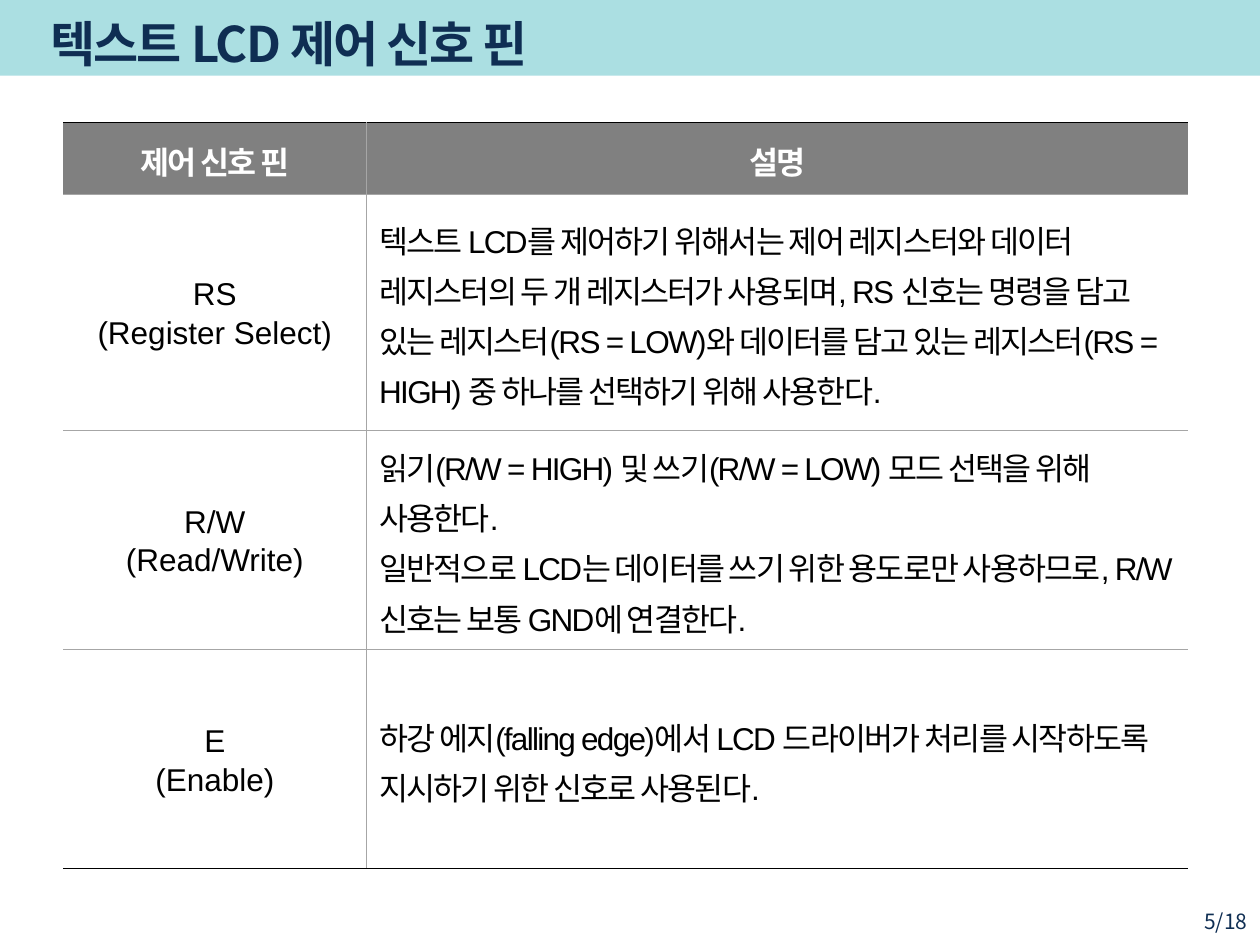
from dataclasses import dataclass
from typing import Any

from lxml.etree import SubElement
from pptx import Presentation
from pptx.dml.color import RGBColor
from pptx.enum.shapes import MSO_SHAPE
from pptx.enum.text import MSO_ANCHOR, PP_ALIGN
from pptx.oxml import parse_xml
from pptx.oxml.ns import nsdecls, qn
from pptx.util import Inches, Pt

TEAL = RGBColor(0x00, 0x9E, 0xA8)
NAVY = RGBColor(0x0F, 0x2E, 0x53)
GRAY = RGBColor(0x80, 0x80, 0x80)
RULE = RGBColor(0xA6, 0xA6, 0xA6)
BLACK = RGBColor(0x00, 0x00, 0x00)
WHITE = RGBColor(0xFF, 0xFF, 0xFF)
KOREAN_FONT = "Noto Sans CJK KR"

HEADER = ("제어 신호 핀", "설명")
PINS = [
    ("RS\n(Register Select)",
     "텍스트 LCD를 제어하기 위해서는 제어 레지스터와 데이터 레지스터의 두 개 레지스터가 "
     "사용되며, RS 신호는 명령을 담고 있는 레지스터(RS = LOW)와 데이터를 담고 있는 "
     "레지스터(RS = HIGH) 중 하나를 선택하기 위해 사용한다."),
    ("R/W\n(Read/Write)",
     "읽기(R/W = HIGH) 및 쓰기(R/W = LOW) 모드 선택을 위해 사용한다.\n"
     "일반적으로 LCD는 데이터를 쓰기 위한 용도로만 사용하므로, "
     "R/W 신호는 보통 GND에 연결한다."),
    ("E\n(Enable)",
     "하강 에지(falling edge)에서 LCD 드라이버가 처리를 시작하도록 "
     "지시하기 위한 신호로 사용된다."),
]


def write_text(frame, text, font="Arial", size=18, color=BLACK, bold=False,
               align=PP_ALIGN.LEFT, line_spacing=None, tracking=0):
    """Fill a text frame, one paragraph per line; tracking is in points."""
    frame.word_wrap = True
    for index, line in enumerate(text.split("\n")):
        para = frame.paragraphs[0] if index == 0 else frame.add_paragraph()
        para.alignment = align
        if line_spacing:
            para.line_spacing = line_spacing
        span = para.add_run()
        span.text = line
        span.font.name = font
        span.font.size = Pt(size)
        span.font.bold = bold
        span.font.color.rgb = color
        properties = span.font._element
        properties.set("spc", str(tracking * 100))
        SubElement(properties, qn("a:ea")).set("typeface", KOREAN_FONT)


def set_borders(cell, **sides):
    """Draw the sides L, R, T, B of a cell; None leaves a side blank."""
    properties = cell._tc.get_or_add_tcPr()
    for index, (side, color) in enumerate(sides.items()):
        paint = (f'<a:solidFill><a:srgbClr val="{color}"/></a:solidFill>'
                 if color is not None else "<a:noFill/>")
        properties.insert(index, parse_xml(
            f'<a:ln{side} {nsdecls("a")} w="{Pt(0.75)}">{paint}</a:ln{side}>'))


@dataclass
class SlideBuilder:
    deck: Any
    page: Any
    heading_color: RGBColor = NAVY

    def area(self, left, top, width, height):
        """Turn shares of the slide's size into lengths."""
        across, down = self.deck.slide_width, self.deck.slide_height
        return (int(left * across), int(top * down),
                int(width * across), int(height * down))

    def band(self, share, color, opacity):
        box = self.page.shapes.add_shape(MSO_SHAPE.RECTANGLE, *self.area(*share))
        box.shadow.inherit = False
        box.line.fill.background()
        box.fill.solid()
        box.fill.fore_color.rgb = color
        tint = box._element.spPr.find(".//" + qn("a:srgbClr"))
        SubElement(tint, qn("a:alpha")).set("val", str(opacity * 1000))
        self.page.shapes._spTree.insert(2, box._element)

    def title(self, share, text):
        box = self.page.shapes.title
        box.left, box.top, box.width, box.height = self.area(*share)
        box.text_frame.vertical_anchor = MSO_ANCHOR.MIDDLE
        write_text(box.text_frame, text, font=KOREAN_FONT, size=28, bold=True,
                   color=self.heading_color, tracking=-1)

    def label(self, share, text):
        box = self.page.shapes.add_textbox(*self.area(*share))
        frame = box.text_frame
        frame.margin_left = frame.margin_right = Inches(0.1)
        frame.margin_top = frame.margin_bottom = 0
        frame.vertical_anchor = MSO_ANCHOR.MIDDLE
        write_text(frame, text, font=KOREAN_FONT, size=12,
                   color=self.heading_color, align=PP_ALIGN.RIGHT)

    def table(self, share, rows, column_widths, row_heights):
        table = self.page.shapes.add_table(
            len(rows), len(column_widths), *self.area(*share)).table
        for column, width in zip(table.columns, column_widths):
            column.width = Inches(width)
        last = len(rows) - 1
        for r, texts in enumerate(rows):
            table.rows[r].height = Inches(row_heights[r])
            for c, text in enumerate(texts):
                cell = table.cell(r, c)
                header, name = r == 0, c == 0
                cell.vertical_anchor = MSO_ANCHOR.MIDDLE
                if header:
                    cell.fill.solid()
                    cell.fill.fore_color.rgb = GRAY
                else:
                    cell.fill.background()
                write_text(cell.text_frame, text, bold=header,
                           color=WHITE if header else BLACK,
                           align=PP_ALIGN.CENTER if header or name else PP_ALIGN.LEFT,
                           line_spacing=1.1,
                           tracking=-1 if header or not name else 0)
                set_borders(cell, L=None if name else RULE, R=RULE if name else None,
                            T=BLACK if header else RULE,
                            B=BLACK if r == last else RULE)


def main():
    deck = Presentation()
    deck.slide_width, deck.slide_height = Inches(10), Inches(7.5)
    builder = SlideBuilder(deck, deck.slides.add_slide(deck.slide_layouts[5]))

    # Heading on its tinted band
    builder.band((0, 0, 1, 0.08), TEAL, 33)
    builder.title((0.03, 0.01, 0.83, 0.07), "텍스트 LCD 제어 신호 핀")

    # Control signal pins
    builder.table((0.05, 0.13, 0.89, 0.79), [HEADER, *PINS],
                  column_widths=(2.41, 6.52), row_heights=(0.57, 1.87, 1.74, 1.74))

    # Page number
    builder.label((0.9, 0.96, 0.1, 0.03), "5/18")

    deck.save("out.pptx")


if __name__ == "__main__":
    main()
